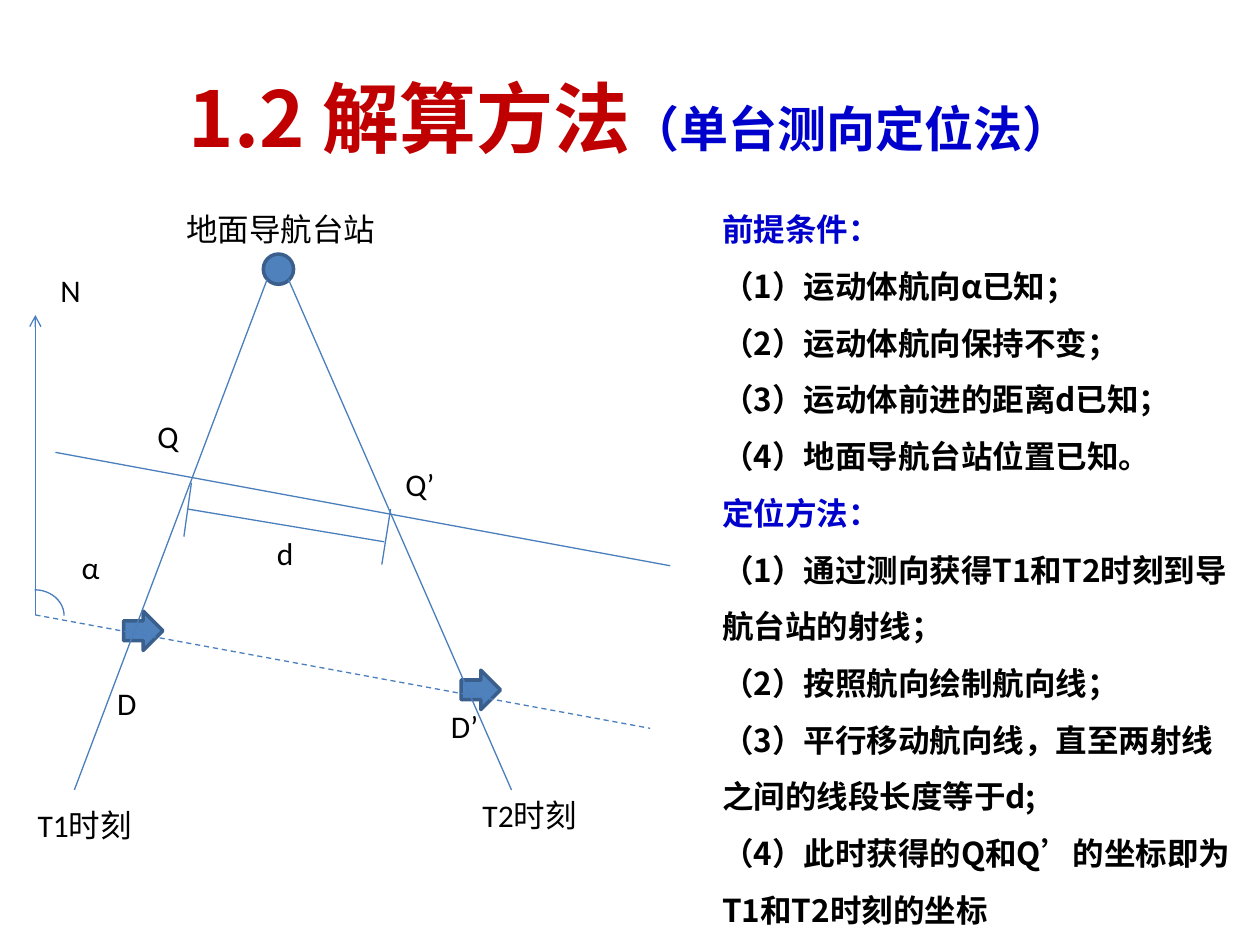
from dataclasses import dataclass

from lxml import etree
from pptx import Presentation
from pptx import util as u
from pptx.dml.color import RGBColor
from pptx.enum import dml, lang, shapes, text
from pptx.oxml.ns import qn


@dataclass(frozen=True)
class Theme:
    heading_font: str = "Noto Sans CJK SC"
    label_font: str = "Calibri"
    title_size: float = 44
    subtitle_size: float = 28
    body_size: float = 18
    red: str = "C00000"
    blue: str = "0000CC"
    black: str = "000000"
    marker_fill: str = "4F81BD"
    marker_edge: str = "3A5F8C"
    ray: str = "4B7EBC"
    marker_width: float = 2
    ray_width: float = 0.75


@dataclass(frozen=True)
class Label:
    wording: str
    left: float
    top: float
    width: float
    height: float = 28.8


@dataclass(frozen=True)
class Ray:
    x1: float
    y1: float
    x2: float
    y2: float
    dashed: bool = False
    arrow: bool = False


@dataclass(frozen=True)
class Marker:
    preset: shapes.MSO_SHAPE
    left: float
    top: float
    size: float


@dataclass(frozen=True)
class Section:
    heading: str
    points: tuple[str, ...]


THEME = Theme()

MARKERS = (
    Marker(shapes.MSO_SHAPE.OVAL, 150.5, 145.2, 17.3),
    Marker(shapes.MSO_SHAPE.RIGHT_ARROW, 70.6, 349.2, 22.5),
    Marker(shapes.MSO_SHAPE.RIGHT_ARROW, 263.5, 383, 22.5),
)

RAYS = (
    Ray(152.6, 159.8, 42.5, 451.4),
    Ray(164.9, 159.8, 292.3, 451.4),
    Ray(20.2, 351.4, 371.5, 416.2, dashed=True),
    Ray(31.7, 258.5, 383, 323.3),
    Ray(223.2, 290.9, 218.2, 322.6),
    Ray(109.4, 275.8, 105.1, 306.7),
    Ray(107.3, 290.9, 219.6, 309.6),
    Ray(20.2, 351.4, 20.2, 180, arrow=True),
)

LABELS = (
    Label("D", 59.8, 387.4, 25.9),
    Label("D’", 250.6, 400.3, 30.2),
    Label("d", 151.2, 301.7, 24.5),
    Label("T1时刻", 14.4, 457.2, 69.1),
    Label("T2时刻", 268.6, 451.4, 69.1),
    Label("地面导航台站", 99.4, 116.6, 123.8),
    Label("N", 27.4, 151.2, 25.9),
    Label("α", 39.6, 309.6, 25.2),
    Label("Q", 82.8, 234.7, 26.6),
    Label("Q’", 224.6, 262.1, 31.7),
)

SECTIONS = (
    Section("前提条件：", (
        "运动体航向α已知；",
        "运动体航向保持不变；",
        "运动体前进的距离d已知；",
        "地面导航台站位置已知。",
    )),
    Section("定位方法：", (
        "通过测向获得T1和T2时刻到导航台站的射线；",
        "按照航向绘制航向线；",
        "平行移动航向线，直至两射线之间的线段长度等于d;",
        "此时获得的Q和Q’的坐标即为T1和T2时刻的坐标",
    )),
)


def place(shape, left: float, top: float, width: float, height: float) -> None:
    shape.left, shape.top = u.Pt(left), u.Pt(top)
    shape.width, shape.height = u.Pt(width), u.Pt(height)


def add_run(paragraph, wording: str, size: float, color: str,
            font_name: str = THEME.heading_font, bold: bool = True) -> None:
    run = paragraph.add_run()
    run.text = wording
    font = run.font
    font.size, font.bold = u.Pt(size), bold
    font.color.rgb = RGBColor.from_string(color)
    font.name = font_name
    font.language_id = lang.MSO_LANGUAGE_ID.SIMPLIFIED_CHINESE
    east_asian = etree.SubElement(run._r.get_or_add_rPr(), qn("a:ea"))
    east_asian.set("typeface", THEME.heading_font)


def style_line(line, color: str, width: float) -> None:
    line.color.rgb = RGBColor.from_string(color)
    line.width = u.Pt(width)


def fill_title(title) -> None:
    place(title, 36, 21.6, 648, 90)
    title.text_frame.vertical_anchor = text.MSO_ANCHOR.MIDDLE
    heading = title.text_frame.paragraphs[0]
    heading.alignment = text.PP_ALIGN.CENTER
    add_run(heading, "1.2 解算方法", THEME.title_size, THEME.red)
    add_run(heading, "（单台测向定位法）", THEME.subtitle_size, THEME.blue)


def fill_method(body) -> None:
    place(body, 405.4, 105.8, 306, 432.7)
    frame = body.text_frame
    frame.word_wrap = True
    frame.auto_size = text.MSO_AUTO_SIZE.NONE
    entries = []
    for section in SECTIONS:
        entries.append((section.heading, THEME.blue))
        entries += [(f"（{number}）{point}", THEME.black)
                    for number, point in enumerate(section.points, 1)]
    for index, (wording, color) in enumerate(entries):
        paragraph = frame.add_paragraph() if index else frame.paragraphs[0]
        paragraph.line_spacing = 1.5
        paragraph.space_before = u.Pt(0)
        properties = paragraph._p.get_or_add_pPr()
        properties.set("marL", "0")
        properties.set("indent", "0")
        etree.SubElement(properties, qn("a:buNone"))
        add_run(paragraph, wording, THEME.body_size, color)


def draw_marker(slide, marker: Marker) -> None:
    shape = slide.shapes.add_shape(marker.preset, *map(
        u.Pt, (marker.left, marker.top, marker.size, marker.size)))
    shape.shadow.inherit = False
    shape.fill.solid()
    shape.fill.fore_color.rgb = RGBColor.from_string(THEME.marker_fill)
    style_line(shape.line, THEME.marker_edge, THEME.marker_width)


def draw_ray(slide, ray: Ray) -> None:
    connector = slide.shapes.add_connector(
        shapes.MSO_CONNECTOR.STRAIGHT, *map(u.Pt, (ray.x1, ray.y1, ray.x2, ray.y2)))
    style_line(connector.line, THEME.ray, THEME.ray_width)
    if ray.dashed:
        connector.line.dash_style = dml.MSO_LINE.DASH
    if ray.arrow:
        etree.SubElement(connector.line._get_or_add_ln(), qn("a:tailEnd")).set("type", "arrow")
    etree.SubElement(connector._element.spPr, qn("a:effectLst"))


def draw_heading_angle(slide) -> None:
    arc = slide.shapes.add_shape(
        shapes.MSO_SHAPE.ARC, *map(u.Pt, (2.9, 337, 33.8, 29.5)))
    arc.shadow.inherit = False
    arc.fill.background()
    style_line(arc.line, THEME.ray, THEME.ray_width)


def draw_label(slide, label: Label) -> None:
    box = slide.shapes.add_textbox(*map(
        u.Pt, (label.left, label.top, label.width, label.height)))
    box.text_frame.word_wrap = False
    box.text_frame.auto_size = text.MSO_AUTO_SIZE.SHAPE_TO_FIT_TEXT
    add_run(box.text_frame.paragraphs[0], label.wording, THEME.body_size,
            THEME.black, THEME.label_font, bold=False)


def main() -> None:
    deck = Presentation()
    deck.slide_width, deck.slide_height = u.Pt(720), u.Pt(540)
    slide = deck.slides.add_slide(deck.slide_layouts[1])
    fill_title(slide.shapes.title)
    fill_method(slide.placeholders[1])
    for marker in MARKERS:
        draw_marker(slide, marker)
    for ray in RAYS:
        draw_ray(slide, ray)
    draw_heading_angle(slide)
    for label in LABELS:
        draw_label(slide, label)
    deck.save("out.pptx")


if __name__ == "__main__":
    main()
